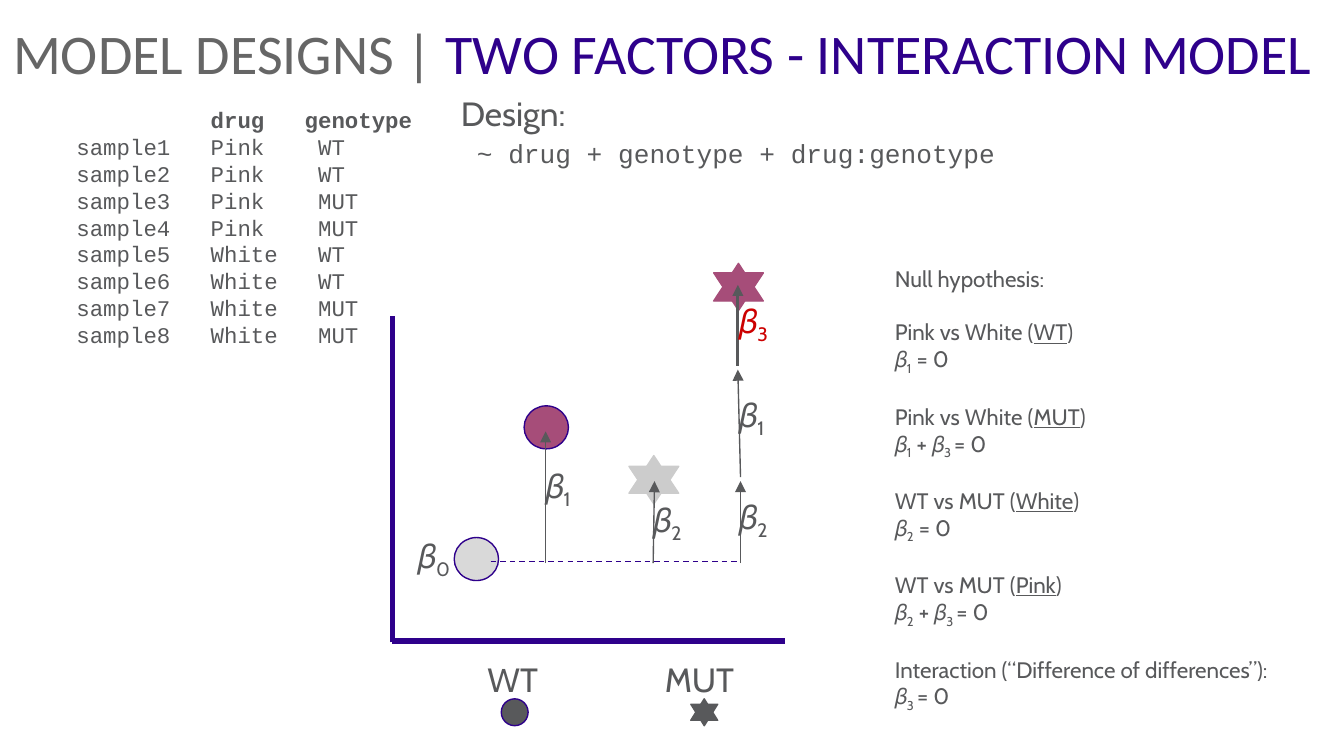
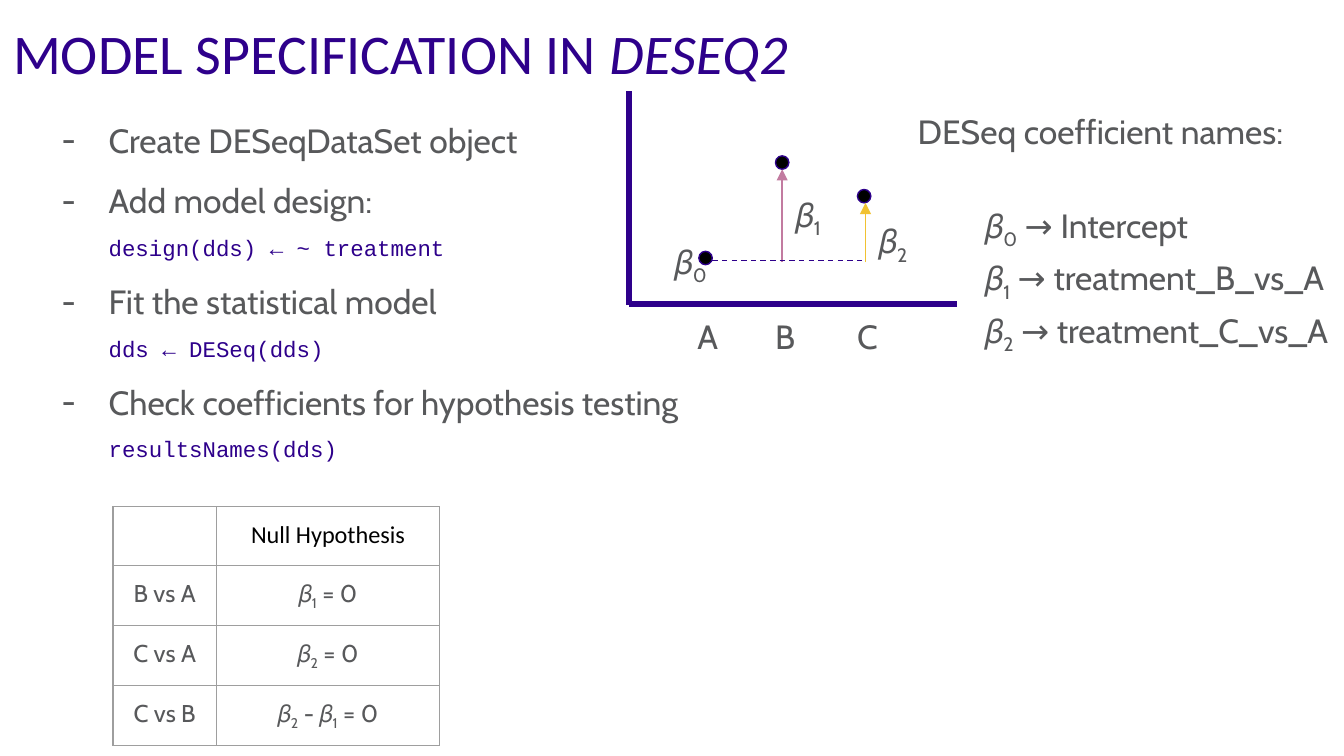
from lxml import etree
from pptx import Presentation
from pptx.dml.color import RGBColor
from pptx.enum.dml import MSO_LINE
from pptx.enum.shapes import MSO_CONNECTOR, MSO_SHAPE
from pptx.enum.text import MSO_ANCHOR, PP_ALIGN
from pptx.oxml.ns import qn
from pptx.util import Inches, Pt

STRAIGHT = MSO_CONNECTOR.STRAIGHT
OVAL = MSO_SHAPE.OVAL
TRIANGLE = MSO_SHAPE.ISOSCELES_TRIANGLE
DASH = MSO_LINE.DASH
LEFT, CENTER = PP_ALIGN.LEFT, PP_ALIGN.CENTER
TOP, MIDDLE = MSO_ANCHOR.TOP, MSO_ANCHOR.MIDDLE

BODY_FONT, TITLE_FONT, CODE_FONT = "Cabin", "Calibri", "Courier New"
COLORS = {
    "purple": "2E008B", "title gray": "666666", "text": "58595B",
    "pink": "A64D79", "white drug": "D9D9D9", "white star": "CCCCCC",
    "red": "CC0000", "black": "000000", "border": "9E9E9E",
    "arrow B": "C27BA0", "arrow C": "F1C232",
}
# Inline marks: {subscript} and <underline>
MARKS = {"{": "subscript", "<": "underline", "}": None, ">": None}

SAMPLES = [(drug, genotype) for drug in ("Pink", "White")
           for genotype in ("WT", "WT", "MUT", "MUT")]
HYPOTHESES = [
    ("Pink vs White (<WT>)", "𝛽{1} = 0"),
    ("Pink vs White (<MUT>)", "𝛽{1} + 𝛽{3 }= 0"),
    ("WT vs MUT (<White>)", "𝛽{2} = 0"),
    ("WT vs MUT (<Pink>)", "𝛽{2} + 𝛽{3 }= 0"),
    ("Interaction (“Difference of differences”):", "𝛽{3 }= 0"),
]
# Paragraphs of the workflow: bullet text, code below it
STEPS = [
    ("Create DESeqDataSet object", None),
    ("Add model design:", None),
    (None, "design(dds) ← ~ treatment"),
    ("Fit the statistical model", "dds ← DESeq(dds)"),
    ("Check coefficients for hypothesis testing", "resultsNames(dds)"),
]
CONTRASTS = [
    ("", "Null Hypothesis"),
    ("B vs A", "𝛽{1} = 0"),
    ("C vs A", "𝛽{2} = 0"),
    ("C vs B", "𝛽{2} - 𝛽{1} = 0"),
]


def rgb(color):
    return RGBColor.from_string(COLORS[color])


def style_font(font, size, color="text", name=BODY_FONT):
    font.size, font.name = Pt(size), name
    font.color.rgb = rgb(color)


# Text
def add_marked_run(paragraph, text, mark):
    if not text:
        return
    run = paragraph.add_run()
    run.text = text
    if mark == "subscript":
        run.font._element.set("baseline", "-25000")
    elif mark == "underline":
        run.font.underline = True


def write_marked(paragraph, text):
    mark, pending = None, ""
    for character in text:
        if character in MARKS:
            add_marked_run(paragraph, pending, mark)
            mark, pending = MARKS[character], ""
        else:
            pending += character
    add_marked_run(paragraph, pending, mark)


def add_frame(slide, left, top, width, height):
    box = slide.shapes.add_textbox(Inches(left), Inches(top), Inches(width), Inches(height))
    frame = box.text_frame
    frame.word_wrap = True
    frame.margin_left = frame.margin_right = Inches(0.1)
    frame.margin_top = frame.margin_bottom = Inches(0.1)
    return frame


def next_paragraph(frame, index):
    return frame.add_paragraph() if index else frame.paragraphs[0]


def set_indent(paragraph, left, first):
    properties = paragraph._p.get_or_add_pPr()
    properties.set("marL", str(Inches(left)))
    properties.set("indent", str(Inches(first)))
    return properties


def add_text(slide, place, lines, size=18, color="text", name=BODY_FONT,
             align=LEFT, spacing=None):
    frame = add_frame(slide, *place)
    for index, line in enumerate(lines):
        paragraph = next_paragraph(frame, index)
        write_marked(paragraph, line)
        paragraph.alignment = align
        if spacing:
            paragraph.line_spacing = spacing
        style_font(paragraph.font, size, color, name)
    return frame.paragraphs


def add_title(slide, parts):
    paragraph = add_frame(slide, 0, 0.04, 10, 0.63).paragraphs[0]
    for text, color, italic in parts:
        run = paragraph.add_run()
        run.text = text
        style_font(run.font, 30, color, TITLE_FONT)
        if italic:
            run.font.italic = True


def add_beta(slide, left, top, number, width=0.83, height=0.71, color="text"):
    add_text(slide, (left, top, width, height), [f"𝛽{{{number}}}"], color=color)


def add_steps(slide):
    frame = add_frame(slide, 0.21, 0.64, 6.05, 2.42)
    for index, (step, code) in enumerate(STEPS):
        paragraph = next_paragraph(frame, index)
        paragraph.line_spacing = 1.5
        if step:
            properties = set_indent(paragraph, 0.5, -0.35)
            etree.SubElement(properties, qn("a:buFont")).set("typeface", BODY_FONT)
            etree.SubElement(properties, qn("a:buChar")).set("char", "-")
            run = paragraph.add_run()
            run.text = step
            style_font(run.font, 18)
        else:
            set_indent(paragraph, 0, 0.5)
        if step and code:
            paragraph.add_line_break()
        if code:
            run = paragraph.add_run()
            run.text = code
            style_font(run.font, 12, "purple", CODE_FONT)


# Shapes and lines
def add_mark(slide, kind, left, top, width, height, fill, line, rotation=0):
    shape = slide.shapes.add_shape(kind, Inches(left), Inches(top),
                                   Inches(width), Inches(height))
    shape.shadow.inherit = False
    shape.fill.solid()
    shape.fill.fore_color.rgb = rgb(fill)
    shape.line.color.rgb = rgb(line)
    shape.line.width = Pt(0.75)
    shape.rotation = rotation


def add_star(slide, left, top, width, height, drop, color):
    """Six-pointed star: an upright triangle and a lower inverted one."""
    add_mark(slide, TRIANGLE, left, top, width, height, color, color)
    add_mark(slide, TRIANGLE, left, top + drop, width, height, color, color, 180)


def add_line(slide, start, end, color="text", width=0.75, arrow=False, dash=None):
    line = slide.shapes.add_connector(STRAIGHT, *map(Inches, start + end))
    line.line.color.rgb = rgb(color)
    line.line.width = Pt(width)
    if dash:
        line.line.dash_style = dash
    if arrow:
        etree.SubElement(line.line._get_or_add_ln(), qn("a:tailEnd")).set("type", "triangle")
    etree.SubElement(line._element.spPr, qn("a:effectLst"))


def add_axes(slide, left, top, right, bottom):
    add_line(slide, (left, bottom), (right, bottom), "purple", 3)
    add_line(slide, (left, bottom + 0.01), (left, top), "purple", 3)


# Table
def add_borders(cell):
    properties = cell._tc.get_or_add_tcPr()
    for index, side in enumerate(("lnL", "lnR", "lnT", "lnB")):
        border = etree.Element(qn(f"a:{side}"), w=str(Pt(0.75)))
        fill = etree.SubElement(border, qn("a:solidFill"))
        etree.SubElement(fill, qn("a:srgbClr")).set("val", COLORS["border"])
        properties.insert(index, border)


def add_contrast_table(slide):
    table = slide.shapes.add_table(len(CONTRASTS), 2, Inches(0.84), Inches(3.77),
                                   Inches(2.43), Inches(1.75)).table
    table.first_row = table.horz_banding = False
    for column, width in zip(table.columns, (0.77, 1.66)):
        column.width = Inches(width)
    for row_index, texts in enumerate(CONTRASTS):
        for column_index, text in enumerate(texts):
            cell = table.cell(row_index, column_index)
            cell.fill.background()
            add_borders(cell)
            cell.vertical_anchor = TOP if text else MIDDLE
            if not text:
                continue
            cell.margin_top = cell.margin_bottom = Inches(0.1)
            paragraph = cell.text_frame.paragraphs[0]
            write_marked(paragraph, text)
            paragraph.alignment = CENTER
            if row_index == 0:
                style_font(paragraph.font, 13, "black", TITLE_FONT)
            else:
                style_font(paragraph.font, 13)


# Slides
def build_interaction_slide(slide):
    add_title(slide, [("MODEL DESIGNS | ", "title gray", False),
                      ("TWO FACTORS - INTERACTION MODEL", "purple", False)])
    add_text(slide, (3.45, 0.92, 4.29, 0.39), ["~ drug + genotype + drug:genotype"],
             14, name=CODE_FONT)
    add_text(slide, (3.33, 0.59, 1.08, 0.47), ["Design:"])

    # Sample sheet
    rows = ["          drug   genotype"]
    rows += [f"sample{number}   {drug:<8}{genotype}"
             for number, (drug, genotype) in enumerate(SAMPLES, 1)]
    sheet = add_text(slide, (0.47, 0.69, 2.76, 1.98), rows, 12, name=CODE_FONT)
    sheet[0].font.bold = True

    # Group means
    add_mark(slide, OVAL, 3.38, 4, 0.33, 0.32, "white drug", "purple")
    add_mark(slide, OVAL, 3.9, 3.02, 0.33, 0.32, "pink", "purple")
    add_star(slide, 4.68, 3.39, 0.37, 0.28, 0.08, "white star")
    add_star(slide, 5.31, 1.96, 0.37, 0.28, 0.07, "pink")

    # Effects
    add_line(slide, (3.65, 4.18), (5.49, 4.18), "purple", dash=DASH)
    for start, end, width in [((4.06, 4.19), (4.06, 3.21), 0.75),
                              ((4.86, 4.19), (4.87, 3.58), 0.75),
                              ((5.51, 4.19), (5.51, 3.58), 0.75),
                              ((5.51, 3.55), (5.49, 2.75), 0.75),
                              ((5.49, 2.72), (5.49, 2.12), 1.5)]:
        add_line(slide, start, end, width=width, arrow=True)
    for left, top, number in [(3.01, 3.88, 0), (3.96, 3.36, 1), (4.76, 3.61, 2),
                              (5.4, 3.59, 2), (5.4, 2.83, 1)]:
        add_beta(slide, left, top, number)
    add_beta(slide, 5.4, 2.13, 3, color="red")

    # Axes and genotype key
    add_axes(slide, 2.92, 2.35, 5.84, 4.77)
    for left, genotype in [(3.3, "WT"), (4.69, "MUT")]:
        add_text(slide, (left, 4.8, 1.03, 0.55), [genotype], align=CENTER)
    add_mark(slide, OVAL, 3.73, 5.2, 0.2, 0.2, "text", "purple")
    add_star(slide, 5.14, 5.2, 0.2, 0.16, 0.04, "text")

    # Null hypotheses
    lines = ["Null hypothesis:"] + [line for pair in HYPOTHESES for line in pair]
    paragraphs = add_text(slide, (6.56, 1.87, 3.21, 3.53), lines, 12)
    for paragraph in paragraphs[1::2]:
        paragraph.space_before = Pt(14.4)


def build_specification_slide(slide):
    add_title(slide, [("MODEL SPECIFICATION IN ", "purple", False),
                      ("DESEQ2", "purple", True)])
    add_steps(slide)

    # Treatment plot
    add_axes(slide, 4.68, 0.68, 7.12, 2.26)
    for left, top in [(5.2, 1.87), (5.77, 1.16), (6.38, 1.41)]:
        add_mark(slide, OVAL, left, top, 0.1, 0.1, "black", "purple")
    for number, (left, top) in enumerate([(4.92, 1.69), (5.82, 1.34), (6.44, 1.54)]):
        add_beta(slide, left, top, number, 0.54, 0.47)
    add_line(slide, (5.82, 1.95), (5.82, 1.26), "arrow B", arrow=True)
    add_line(slide, (6.44, 1.95), (6.44, 1.51), "arrow C", arrow=True)
    add_line(slide, (5.3, 1.94), (6.44, 1.94), "purple", dash=DASH)
    for left, treatment in [(5.09, "A"), (5.67, "B"), (6.28, "C")]:
        add_text(slide, (left, 2.25, 0.33, 0.44), [treatment])

    # Coefficient names
    names = ["Intercept", "treatment_B_vs_A", "treatment_C_vs_A"]
    lines = [f"𝛽{{{number}}} → {name}" for number, name in enumerate(names)]
    _, *coefficients = add_text(slide, (6.73, 0.68, 3.38, 2.29),
                                ["DESeq coefficient names:"] + lines, spacing=1.15)
    for paragraph in coefficients:
        set_indent(paragraph, 0.5, 0)
    coefficients[0].space_before = Pt(25)

    add_contrast_table(slide)


def main():
    presentation = Presentation()
    presentation.slide_width = Inches(10)
    presentation.slide_height = Inches(10) * 9 // 16
    blank = presentation.slide_layouts[6]
    for build in (build_interaction_slide, build_specification_slide):
        build(presentation.slides.add_slide(blank))
    presentation.save("out.pptx")


if __name__ == "__main__":
    main()
